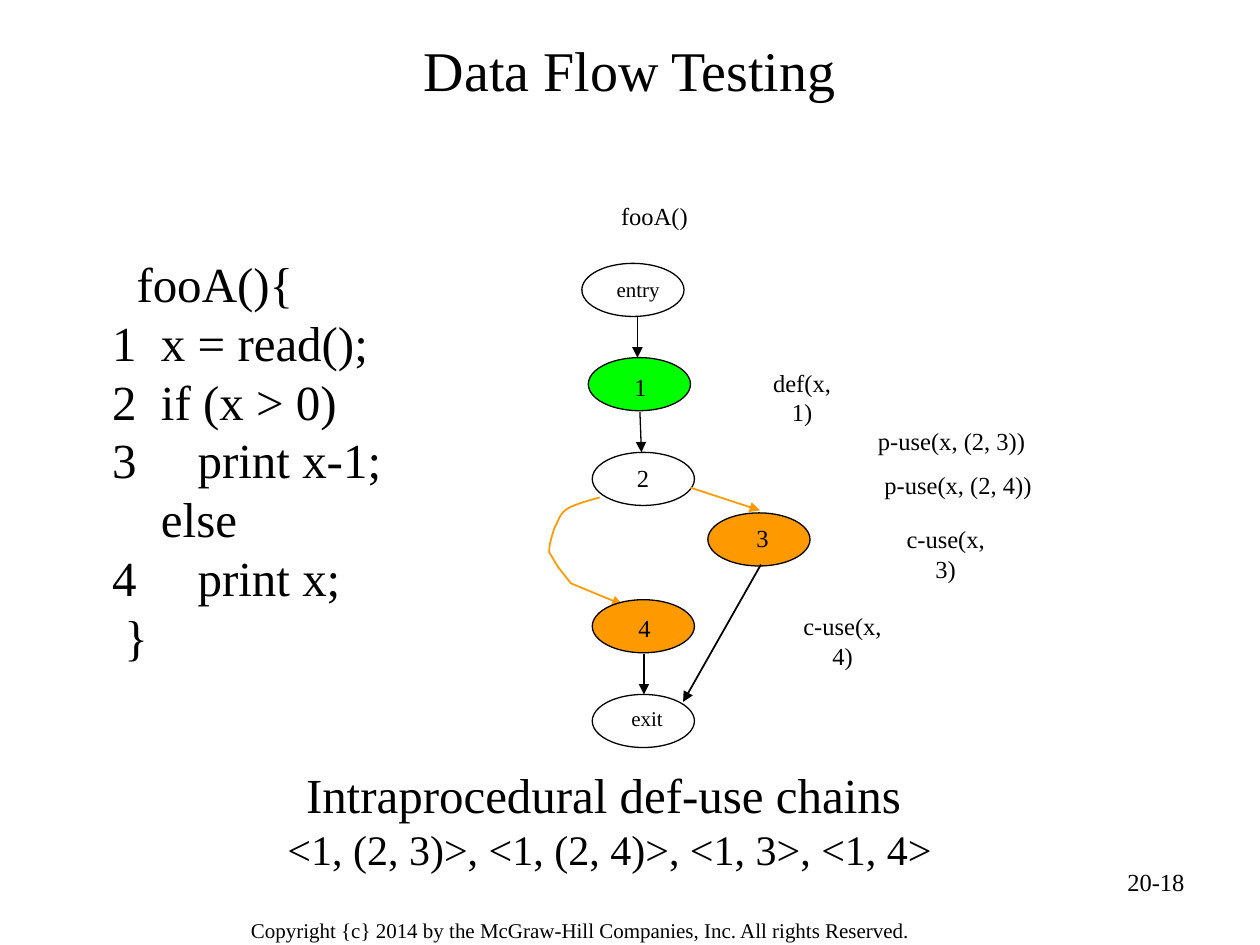
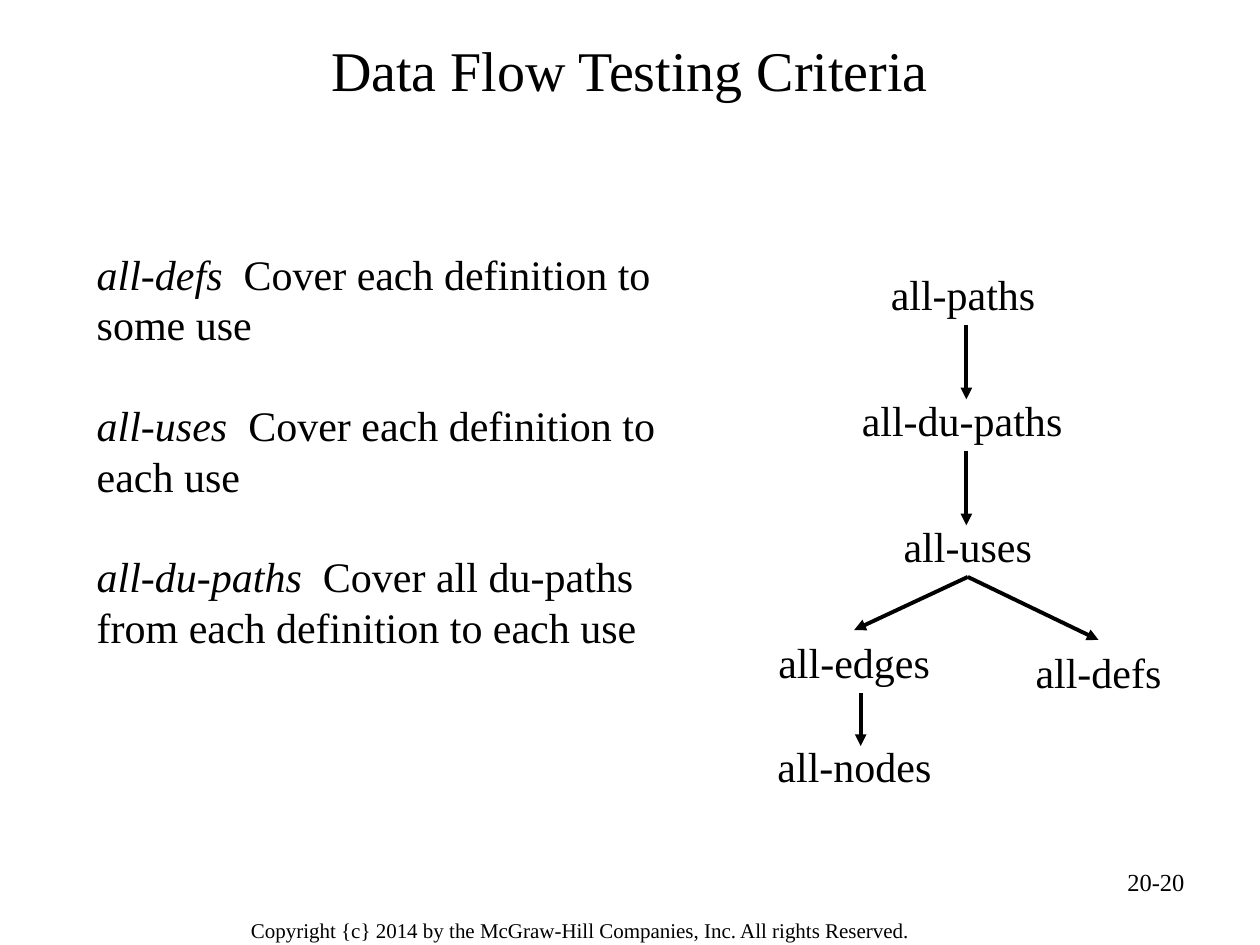
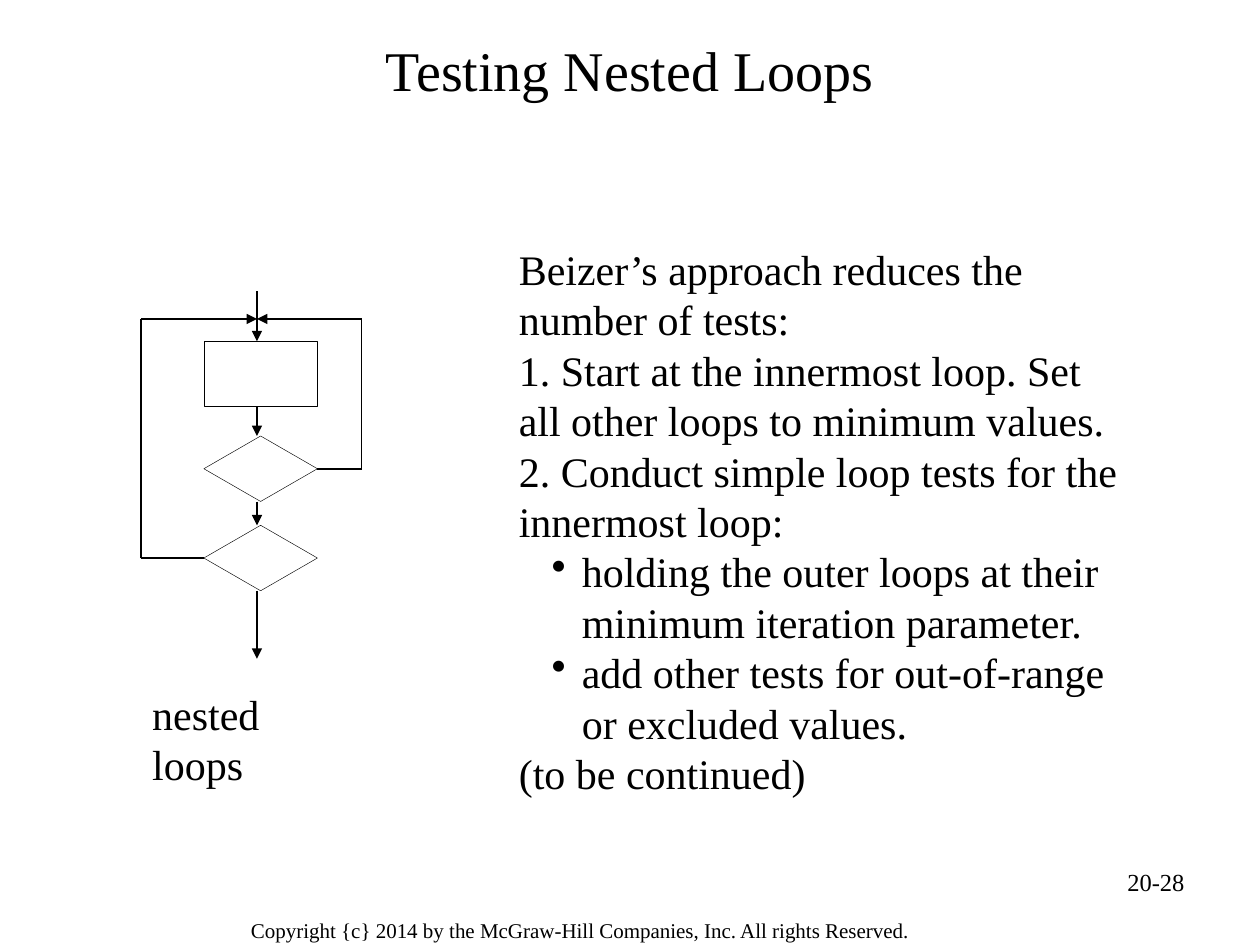
"""Build three slides on data flow and loop testing."""
from dataclasses import dataclass

from lxml import etree
from pptx import Presentation
from pptx import util as u
from pptx.dml.color import RGBColor
from pptx.enum import shapes as kinds, text as t
from pptx.oxml import ns


@dataclass(frozen=True)
class Theme:
    """Fonts, colours and type sizes shared by all slides."""
    font: str = "Times New Roman"
    black: str = "000000"
    white: str = "FFFFFF"
    green: str = "00FF00"
    orange: str = "FF9900"
    title: int = 32
    code: int = 28
    body: int = 24
    label: int = 14
    small: int = 12


THEME = Theme()
LEFT, CENTER, RIGHT = t.PP_ALIGN.LEFT, t.PP_ALIGN.CENTER, t.PP_ALIGN.RIGHT
TOP, MIDDLE = t.MSO_ANCHOR.TOP, t.MSO_ANCHOR.MIDDLE
COPYRIGHT = "Copyright {c} 2014 by the McGraw-Hill Companies, Inc. All rights Reserved."

NODE_SIZE, NODE_LABEL_SIZE = (2.06, 1.07), (2.31, 0.76)
FLOW_NODES = [
    ("entry", (11.73, 5.31), (11.71, 5.44), THEME.white, THEME.small),
    ("1", (11.86, 7.21), (11.76, 7.42), THEME.green, THEME.label),
    ("2", (11.94, 9.12), (11.81, 9.25), THEME.white, THEME.label),
    ("3", (14.27, 10.34), (14.22, 10.46), THEME.orange, THEME.label),
    ("4", (11.94, 12.09), (11.84, 12.27), THEME.orange, THEME.label),
    ("exit", (11.94, 14), (11.89, 14.1), THEME.white, THEME.small),
]
FLOW_ARROWS = [
    ((12.85, 6.4), (12.85, 7.21), THEME.black, 0.75),
    ((12.9, 8.31), (12.93, 9.12), THEME.black, 0.75),
    ((12.98, 13.18), (12.98, 14), THEME.black, 0.75),
    ((13.92, 9.83), (15.32, 10.29), THEME.orange, 1),
    ((15.34, 11.38), (13.77, 14.15), THEME.black, 1),
]
BRANCH_START = (12.09, 10.03)
BRANCH_CURVES = [
    ((12.09, 10.03), (11.58, 10.16), (11.43, 10.26)),
    ((11.28, 10.36), (11.25, 10.52), (11.18, 10.64)),
    ((11.13, 10.8), (11.07, 10.97), (11.07, 11.13)),
]
BRANCH_CORNERS = [(11.25, 11.43), (11.51, 11.76), (12.55, 12.19)]
FLOW_NOTES = [
    ("fooA()", 10.87, 4.06, 4.65),
    ("def(x, 1)", 15.32, 7.42, 1.7),
    ("p-use(x, (2, 3))", 17.7, 8.59, 2.97),
    ("p-use(x, (2, 4))", 17.83, 9.47, 2.97),
    ("c-use(x, 3)", 18.01, 10.57, 2.11),
    ("c-use(x, 4)", 15.93, 12.32, 2.11),
]
CODE = ["  fooA(){", "1  x = read();", "2  if (x > 0)", "3     print x-1;",
        "    else", "4     print x;", " }"]
CHAINS = [
    "Intraprocedural def-use chains ",
    [("<1, (2, 3)>, <1, (2, 4)>, <1, 3>, <1, 4>", {"size": THEME.body})],
]

CRITERIA = [
    ("all-defs", "Cover each definition to some use"),
    ("all-uses", "Cover each definition to each use"),
    ("all-du-paths", "Cover all du-paths from each definition to each use"),
]
CRITERIA_BOXES = [
    ("all-paths", 17.7, 5.28, 3.43),
    ("all-du-paths", 17.12, 7.82, 4.55),
    ("all-uses", 17.96, 10.36, 3.1),
    ("all-edges", 15.44, 12.7, 3.56),
    ("all-defs", 20.62, 12.9, 3.05),
    ("all-nodes", 15.42, 14.81, 3.61),
]
CRITERIA_DROPS = [(19.48, 6.55, 8.05), (19.48, 9.09, 10.59), (17.35, 13.97, 15.04)]
CRITERIA_BRANCHES = [("all-uses", "all-edges"), ("all-uses", "all-defs")]

LOOP_LEFT, LOOP_SIZE = 4.11, (2.29, 1.32)
LOOP_TOPS = [6.88, 8.79, 10.59]
LOOP_FLOW_X, LOOP_JOIN_Y = 5.18, 6.43
LOOP_DROPS = [(5.87, 6.88), (8.2, 8.79), (10.11, 10.59), (11.91, 13.28)]
LOOP_RETURNS = [(1, 3, 7.29), (2, 1, 2.84)]
LOOP_TEXT = [
    "Beizer’s approach reduces the number of tests:",
    "1. Start at the innermost loop. Set all other loops to minimum values.",
    "2. Conduct simple loop tests for the innermost loop:",
    "• holding the outer loops at their minimum iteration parameter.",
    "• add other tests for out-of-range or excluded values.",
    "(to be continued)",
]


def cm(*values):
    """Turn numbers into a list of lengths."""
    return [u.Cm(value) for value in values]


def set_bullet(para):
    """Give a paragraph a hanging bullet."""
    para.level = 1
    props = para._p.get_or_add_pPr()
    props.set("marL", str(u.Cm(1.27)))
    props.set("indent", str(u.Cm(-0.61)))
    etree.SubElement(props, ns.qn("a:buChar")).set("char", "•")


def write(box, paragraphs, size=THEME.body, align=LEFT, anchor=TOP, wrap=True,
          insets=(0.25, 0.13), gap=0):
    """Fill a shape with paragraphs, each a string or a list of spans."""
    frame = box.text_frame
    frame.word_wrap, frame.vertical_anchor = wrap, anchor
    frame.margin_left = frame.margin_right = u.Cm(insets[0])
    frame.margin_top = frame.margin_bottom = u.Cm(insets[1])
    for index, content in enumerate(paragraphs):
        para = frame.add_paragraph() if index else frame.paragraphs[0]
        para.alignment = align
        para.space_before = u.Pt(gap if index else 0)
        if isinstance(content, str):
            if content.startswith("• "):
                set_bullet(para)
            content = [(content.removeprefix("• "), {})]
        for words, style in content:
            span = para.add_run()
            span.text = words
            span.font.name = THEME.font
            span.font.size = u.Pt(style.get("size", size))
            span.font.italic = style.get("italic", False)
            span.font.color.rgb = RGBColor.from_string(THEME.black)
    return box


def add_text(page, paragraphs, place, **style):
    """Add a text box at left, top, width, height."""
    return write(page.shapes.add_textbox(*cm(*place)), paragraphs, **style)


def set_line(item, color, width, arrow=False):
    """Style an outline or line, with an optional arrowhead at its end."""
    item.line.color.rgb = RGBColor.from_string(color)
    item.line.width = u.Pt(width)
    if arrow:
        etree.SubElement(item.line._get_or_add_ln(), ns.qn("a:tailEnd")).set("type", "triangle")


def add_shape(shapes, kind, place, fill=None, width=0.75):
    """Add an outlined preset shape."""
    shape = shapes.add_shape(kind, *cm(*place))
    shape.shadow.inherit = False
    if fill:
        shape.fill.solid()
        shape.fill.fore_color.rgb = RGBColor.from_string(fill)
    else:
        shape.fill.background()
    set_line(shape, THEME.black, width)
    return shape


def add_line(shapes, start, end, color=THEME.black, width=1, arrow=True):
    """Add a straight connector between two points."""
    line = shapes.add_connector(kinds.MSO_CONNECTOR.STRAIGHT, *cm(*start, *end))
    set_line(line, color, width, arrow)
    etree.SubElement(line._element.spPr, ns.qn("a:effectLst"))
    return line


def curve_points(start, first, second, end, steps=8):
    """Sample a cubic curve, leaving out its start."""
    for step in range(1, steps + 1):
        s = step / steps
        weights = ((1 - s) ** 3, 3 * s * (1 - s) ** 2, 3 * s * s * (1 - s), s ** 3)
        yield tuple(sum(w * point[axis] for w, point in zip(weights, (start, first, second, end)))
                    for axis in (0, 1))


def add_branch(page):
    """Draw the curved branch from node 2 to node 4."""
    points, start = [], BRANCH_START
    for curve in BRANCH_CURVES:
        points += curve_points(start, *curve)
        start = curve[-1]
    builder = page.shapes.build_freeform(*cm(*BRANCH_START))
    builder.add_line_segments([cm(*point) for point in points + BRANCH_CORNERS], close=False)
    branch = builder.convert_to_shape()
    branch.shadow.inherit = False
    branch.fill.background()
    set_line(branch, THEME.orange, 1, arrow=True)


def add_page(deck, title, number):
    """Add a slide with its title, page number and copyright line."""
    page = deck.slides.add_slide(deck.slide_layouts[5])
    heading = page.shapes.title
    heading.left, heading.top, heading.width, heading.height = cm(1.27, 0.46, 22.86, 1.85)
    write(heading, [title], size=THEME.title, align=CENTER, anchor=MIDDLE)
    add_text(page, [COPYRIGHT], (4.78, 18.34, 15.72, 0.79), size=THEME.small, insets=(0.28, 0.15))
    add_text(page, [number], (18.21, 17.35, 5.92, 1.32), size=THEME.label, align=RIGHT)
    return page


def build_flow(deck):
    """Show a function, its flow graph and its def-use chains."""
    page = add_page(deck, "Data Flow Testing", "20-18")
    add_branch(page)
    for name, corner, label_corner, fill, size in FLOW_NODES:
        add_shape(page.shapes, kinds.MSO_SHAPE.OVAL, corner + NODE_SIZE, fill)
        add_text(page, [name], label_corner + NODE_LABEL_SIZE, size=size,
                 align=CENTER, anchor=MIDDLE, wrap=False)
    for arrow in FLOW_ARROWS:
        add_line(page.shapes, *arrow)
    for note, left, top, width in FLOW_NOTES:
        add_text(page, [note], (left, top, width, 0.58), size=THEME.label,
                 align=CENTER, wrap=False, insets=(0, 0))
    add_text(page, CODE, (2.01, 4.98, 7.67, 8.56), size=THEME.code, anchor=MIDDLE)
    add_text(page, CHAINS, (2.97, 15.29, 18.64, 2.46), size=THEME.code,
             align=CENTER, anchor=MIDDLE)


def build_criteria(deck):
    """Show the coverage criteria and how they subsume each other."""
    page = add_page(deck, "Data Flow Testing Criteria", "20-20")
    paragraphs = [[(name, {"italic": True}), ("  " + meaning, {})] for name, meaning in CRITERIA]
    add_text(page, paragraphs, (1.7, 4.88, 12.9, 11.86), gap=28.8)
    boxes = {name: add_text(page, [name], (left, top, width, 1.27),
                            align=CENTER, anchor=MIDDLE, wrap=False)
             for name, left, top, width in CRITERIA_BOXES}
    for x, top, bottom in CRITERIA_DROPS:
        add_line(page.shapes, (x, top), (x, bottom), width=2.25)
    for upper, lower in CRITERIA_BRANCHES:
        line = add_line(page.shapes, (0, 0), (1, 1), width=2.25)
        line.begin_connect(boxes[upper], 2)
        line.end_connect(boxes[lower], 0)


def build_loops(deck):
    """Show a nested loop chart and the approach to testing it."""
    page = add_page(deck, "Testing Nested Loops", "20-28")
    chart = page.shapes.add_group_shape().shapes
    preset = kinds.MSO_SHAPE
    steps = [add_shape(chart, kind, (LOOP_LEFT, top) + LOOP_SIZE, width=0.25)
             for kind, top in zip((preset.RECTANGLE, preset.DIAMOND, preset.DIAMOND), LOOP_TOPS)]
    for top, bottom in LOOP_DROPS:
        add_line(chart, (LOOP_FLOW_X, top), (LOOP_FLOW_X, bottom))
    for step, side, x in LOOP_RETURNS:
        y = LOOP_TOPS[step] + LOOP_SIZE[1] / 2
        exit_line = add_line(chart, (LOOP_LEFT, y), (x, y), arrow=False)
        exit_line.begin_connect(steps[step], side)
        add_line(chart, (x, y), (x, LOOP_JOIN_Y), arrow=False)
        add_line(chart, (x, LOOP_JOIN_Y), (LOOP_FLOW_X, LOOP_JOIN_Y))
    add_text(page, ["nested loops"], (2.82, 13.74, 4.7, 1.27), wrap=False)
    add_text(page, LOOP_TEXT, (10.21, 4.78, 12.78, 11.43))


def main():
    """Build and save the deck."""
    deck = Presentation()
    deck.slide_width, deck.slide_height = cm(25.4, 19.05)
    for build in (build_flow, build_criteria, build_loops):
        build(deck)
    deck.save("out.pptx")


if __name__ == "__main__":
    main()
